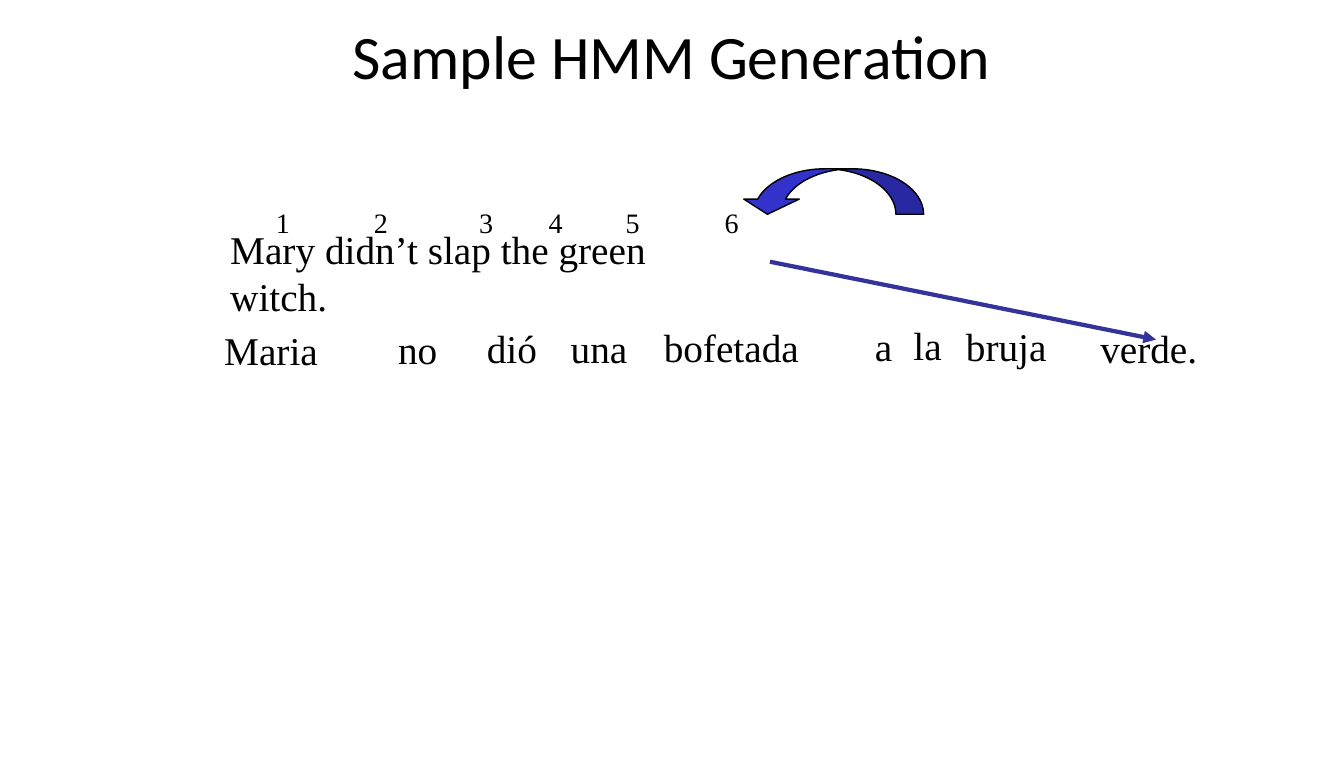
from dataclasses import dataclass
from typing import Any

from lxml.etree import SubElement
from pptx import Presentation
from pptx.dml.color import RGBColor
from pptx.enum.shapes import MSO_CONNECTOR, MSO_SHAPE
from pptx.enum.text import MSO_ANCHOR, MSO_AUTO_SIZE, PP_ALIGN
from pptx.oxml.ns import qn
from pptx.slide import Slide
from pptx.util import Emu, Pt

EMU_PER_PX = 9144
SLIDE_WIDTH, SLIDE_HEIGHT = 1330, 750

BLACK = RGBColor(0x00, 0x00, 0x00)
ARC_BLUE = RGBColor(0x33, 0x33, 0xCC)
LINK_BLUE = RGBColor(0x33, 0x33, 0x99)

WORD_HEIGHT = 57
NUMBER_TOP, NUMBER_WIDTH, NUMBER_HEIGHT = 198, 34, 44
NUMBER_CENTERS = (280, 377, 481, 550, 626, 724)
ARC_ADJUSTMENTS = (0.61, 1.22, 0.333)

TITLE_FONT = {"name": "Calibri", "size": Pt(44)}
WORD_FONT = {"name": "Times New Roman", "size": Pt(28)}
NUMBER_FONT = {"name": "Times New Roman", "size": Pt(20)}

TITLE_FRAME = {"word_wrap": True, "vertical_anchor": MSO_ANCHOR.MIDDLE}
LABEL_FRAME = {"word_wrap": False, "auto_size": MSO_AUTO_SIZE.SHAPE_TO_FIT_TEXT}


@dataclass(frozen=True)
class Label:
    text: str
    left: int
    top: int
    width: int
    height: int = WORD_HEIGHT


ENGLISH = Label("Mary didn’t slap the green witch.", 218, 218, 536)
SPANISH = (
    Label("Maria", 212, 318, 114),
    Label("no", 384, 317, 59),
    Label("dió", 472, 316, 70),
    Label("una", 555, 316, 77),
    Label("bofetada", 647, 315, 155),
    Label("a", 856, 314, 38),
    Label("la", 894, 313, 48),
    Label("bruja", 946, 314, 101),
    Label("verde.", 1079, 316, 117),
)


def px(length: int) -> Emu:
    return Emu(length * EMU_PER_PX)


def apply_format(target: Any, values: dict[str, Any]) -> None:
    for name, value in values.items():
        setattr(target, name, value)


def add_label(
    slide: Slide,
    label: Label,
    font: dict[str, Any],
    frame: dict[str, Any] = LABEL_FRAME,
    alignment: PP_ALIGN = PP_ALIGN.LEFT,
) -> None:
    box = slide.shapes.add_textbox(
        px(label.left), px(label.top), px(label.width), px(label.height)
    )
    apply_format(box.text_frame, frame)
    paragraph = box.text_frame.paragraphs[0]
    paragraph.alignment = alignment
    run = paragraph.add_run()
    run.text = label.text
    apply_format(run.font, font)
    run.font.color.rgb = BLACK


def add_arc_arrow(slide: Slide) -> None:
    arc = slide.shapes.add_shape(
        MSO_SHAPE.CURVED_DOWN_ARROW, px(732), px(167), px(182), px(45)
    )
    for index, value in enumerate(ARC_ADJUSTMENTS):
        arc.adjustments[index] = value
    arc.element.spPr.get_or_add_xfrm().set("flipH", "1")
    arc.shadow.inherit = False
    arc.fill.solid()
    arc.fill.fore_color.rgb = ARC_BLUE
    arc.line.color.rgb = BLACK
    arc.line.width = Pt(1)


def add_link_arrow(slide: Slide) -> None:
    link = slide.shapes.add_connector(
        MSO_CONNECTOR.STRAIGHT, px(762), px(259), px(1144), px(336)
    )
    link.line.color.rgb = LINK_BLUE
    link.line.width = Pt(3)
    SubElement(link.line._get_or_add_ln(), qn("a:tailEnd"), type="triangle")
    SubElement(link.element.spPr, qn("a:effectLst"))


def main() -> None:
    presentation = Presentation()
    presentation.slide_width = px(SLIDE_WIDTH)
    presentation.slide_height = px(SLIDE_HEIGHT)
    slide = presentation.slides.add_slide(presentation.slide_layouts[6])

    title = Label("Sample HMM Generation", 0, -2, SLIDE_WIDTH, 112)
    add_label(slide, title, TITLE_FONT, TITLE_FRAME, PP_ALIGN.CENTER)
    for word in (ENGLISH, *SPANISH):
        add_label(slide, word, WORD_FONT)
    for number, center in enumerate(NUMBER_CENTERS, start=1):
        label = Label(
            str(number), center - NUMBER_WIDTH // 2, NUMBER_TOP, NUMBER_WIDTH, NUMBER_HEIGHT
        )
        add_label(slide, label, NUMBER_FONT, alignment=PP_ALIGN.CENTER)
    add_arc_arrow(slide)
    add_link_arrow(slide)

    presentation.save("out.pptx")


if __name__ == "__main__":
    main()
